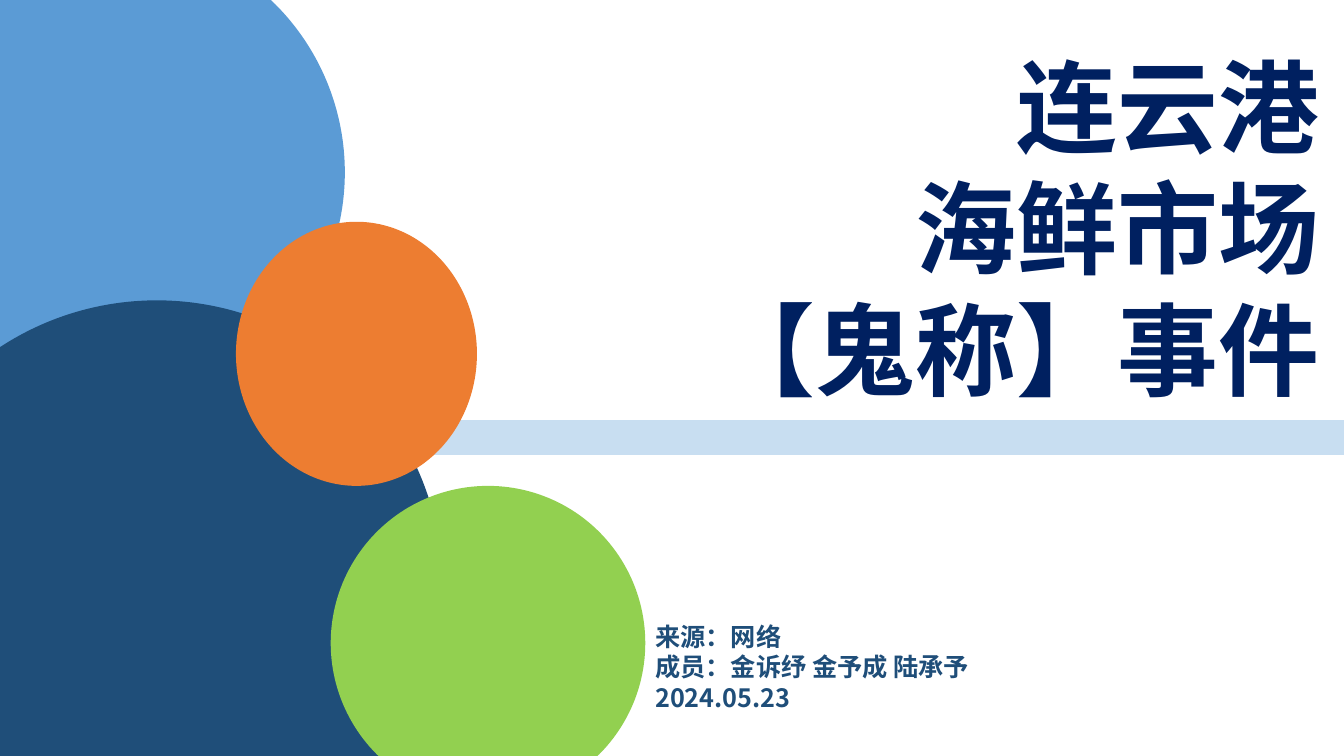
"""Build the cover slide of the Lianyungang seafood market case."""
from lxml.etree import SubElement
from pptx import Presentation
from pptx.dml.color import RGBColor
from pptx.enum.shapes import MSO_CONNECTOR, MSO_SHAPE
from pptx.enum.text import MSO_ANCHOR, PP_ALIGN
from pptx.oxml.ns import qn
from pptx.util import Inches, Pt

FONT = "Noto Sans CJK SC"
LINE_RATIO = 1.21
BAND = {"start": 13.35, "end": -0.54, "y": 4.34, "width": 24.75,
        "color": "5B9BD5", "alpha": 33}
CIRCLES = [
    ("5B9BD5", (-1.3, -0.65, 4.72, 4.72)),
    ("1F4E79", (-1.28, 2.98, 5.67, 5.67)),
    ("ED7D31", (2.34, 2.2, 2.39, 2.62)),
    ("92D050", (3.28, 4.82, 3.12, 3.12)),
]
TEXTS = [
    {"box": (6.9, 0.38, 6.28, 3.74), "size": 72, "color": "002060",
     "align": PP_ALIGN.RIGHT, "lines": ["连云港", "海鲜市场", "【鬼称】事件"]},
    {"box": (6.4, 6.11, 3.51, 1.31), "size": 18, "color": "1F4E79",
     "align": PP_ALIGN.LEFT,
     "lines": ["来源：网络", "成员：金诉纾 金予成 陆承予", "2024.05.23"]},
]


def paint(color_format, color):
    color_format.rgb = RGBColor.from_string(color)


def add_band(slide):
    y = Inches(BAND["y"])
    band = slide.shapes.add_connector(
        MSO_CONNECTOR.STRAIGHT, Inches(BAND["start"]), y, Inches(BAND["end"]), y)
    band.line.width = Pt(BAND["width"])
    band.line.fill.solid()
    paint(band.line.color, BAND["color"])
    properties = band._element.spPr
    SubElement(properties, qn("a:effectLst"))
    color = properties.find(".//" + qn("a:srgbClr"))
    SubElement(color, qn("a:alpha")).set("val", str(BAND["alpha"] * 1000))


def add_circle(slide, color, box):
    circle = slide.shapes.add_shape(MSO_SHAPE.OVAL, *map(Inches, box))
    circle.shadow.inherit = False
    circle.fill.solid()
    paint(circle.fill.fore_color, color)
    circle.line.fill.background()


def add_text(slide, text):
    frame = slide.shapes.add_textbox(*map(Inches, text["box"])).text_frame
    frame.word_wrap = True
    frame.vertical_anchor = MSO_ANCHOR.TOP
    frame.text = "\n".join(text["lines"])
    font_values = {"name": FONT, "size": Pt(text["size"]), "bold": True}
    for paragraph in frame.paragraphs:
        paragraph.alignment = text["align"]
        paragraph.line_spacing = Pt(round(text["size"] * LINE_RATIO, 1))
        for run in paragraph.runs:
            for name, value in font_values.items():
                setattr(run.font, name, value)
            paint(run.font.color, text["color"])
            SubElement(run._r.rPr, qn("a:ea")).set("typeface", FONT)


def main():
    presentation = Presentation()
    presentation.slide_width = Inches(13.33)
    presentation.slide_height = Inches(7.5)
    slide = presentation.slides.add_slide(presentation.slide_layouts[6])
    add_band(slide)
    for color, box in CIRCLES:
        add_circle(slide, color, box)
    for text in TEXTS:
        add_text(slide, text)
    presentation.save("out.pptx")


if __name__ == "__main__":
    main()
